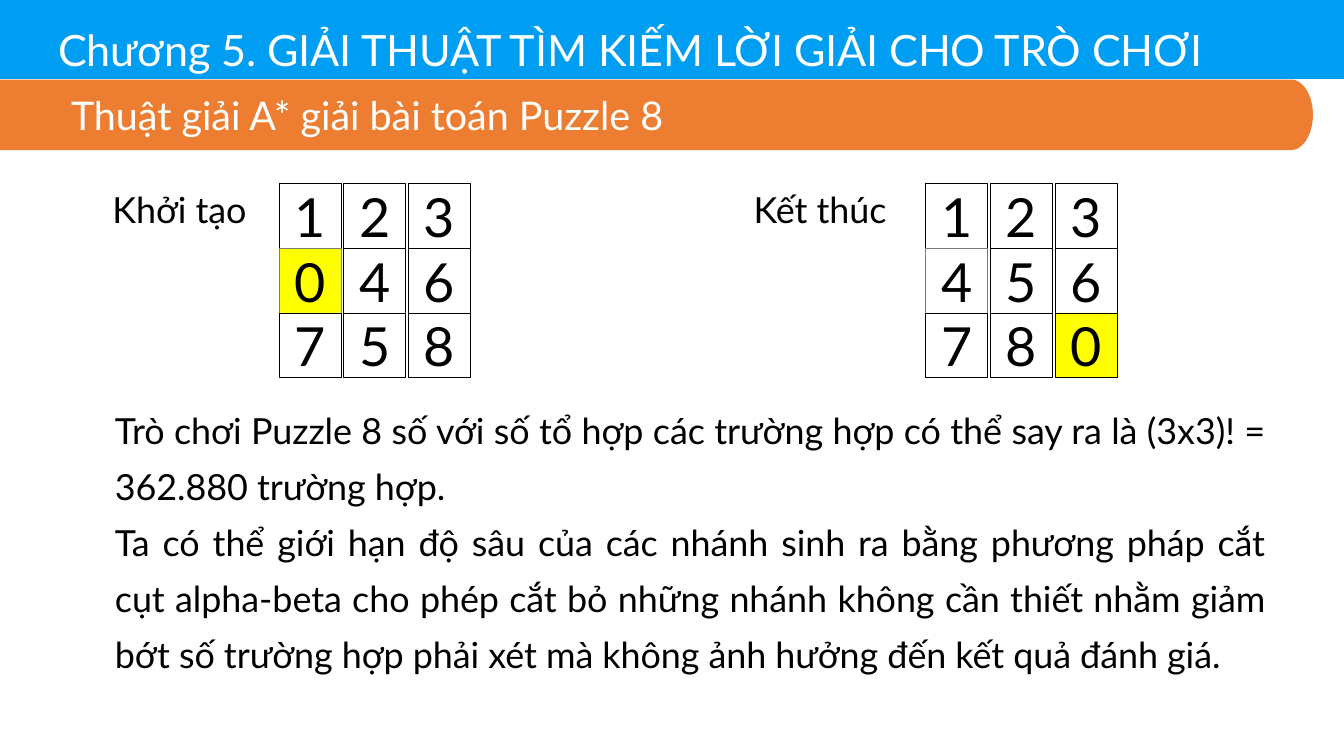
import math

import pptx
import pptx.dml.color
import pptx.enum.shapes
import pptx.enum.text
import pptx.util

WIDTH, HEIGHT = 20.79, 11.69
FONT = "Lato"
BLACK, WHITE, GREY = "000000", "FFFFFF", "7A7A7A"
BLUE, ORANGE, YELLOW = "009EF3", "ED7D31", "FFFF00"

CHAPTER = "Chương 5. GIẢI THUẬT TÌM KIẾM LỜI GIẢI CHO TRÒ CHƠI"
SECTION = "Thuật giải A* giải bài toán Puzzle 8"
# label, label left, board left, rows of tiles
BOARDS = [
    ("Khởi tạo", 1.64, 4.32, ["123", "046", "758"]),
    ("Kết thúc", 11.56, 14.32, ["123", "456", "780"]),
]
EXPLANATION = [
    "Trò chơi Puzzle 8 số với số tổ hợp các trường hợp có thể say ra là "
    "(3x3)! = 362.880 trường hợp.",
    "Ta có thể giới hạn độ sâu của các nhánh sinh ra bằng phương pháp cắt cụt "
    "alpha-beta cho phép cắt bỏ những nhánh không cần thiết nhằm giảm bớt số "
    "trường hợp phải xét mà không ảnh hưởng đến kết quả đánh giá.",
]

HEADER_HEIGHT = 1.22
BANNER_TOP, BANNER_HEIGHT = 1.23, 1.09
BANNER_RIGHT, BANNER_CURVE = 20.31, 0.34
LABEL_TOP = 2.85
BOARD_TOP, TILE_PITCH, TILE_WIDTH = 2.84, 1, 0.96

ALIGN = pptx.enum.text.PP_ALIGN
ANCHOR = pptx.enum.text.MSO_ANCHOR
RECTANGLE = pptx.enum.shapes.MSO_SHAPE.RECTANGLE


def inches(*lengths):
    return [pptx.util.Inches(length) for length in lengths]


def color(hex_code):
    return pptx.dml.color.RGBColor.from_string(hex_code)


def paint(shape, fill, line=None):
    shape.shadow.inherit = False
    shape.fill.solid()
    shape.fill.fore_color.rgb = color(fill)
    if line:
        shape.line.color.rgb = color(line)
        shape.line.width = pptx.util.Pt(1)
    else:
        shape.line.fill.background()


def write(shape, paragraphs, size, ink=BLACK, align=ALIGN.JUSTIFY,
          anchor=ANCHOR.TOP, line_spacing=None, tracking=-0.05, indent=0):
    """Fill the shape with paragraphs; tracking is letter spacing in points."""
    frame = shape.text_frame
    frame.word_wrap = True
    frame.vertical_anchor = anchor
    for index, text in enumerate(paragraphs):
        paragraph = frame.add_paragraph() if index else frame.paragraphs[0]
        paragraph.alignment = align
        paragraph.line_spacing = line_spacing
        paragraph._p.get_or_add_pPr().set("marL", str(pptx.util.Inches(indent)))
        run = paragraph.add_run()
        run.text = text
        run.font.name = FONT
        run.font.size = pptx.util.Pt(size)
        run.font.color.rgb = color(ink)
        if tracking:
            run.font._element.set("spc", str(round(tracking * 100)))
    return frame


def add_header(shapes):
    paint(shapes.add_shape(RECTANGLE, *inches(0, 0, WIDTH, HEADER_HEIGHT)), BLUE)
    title = shapes.add_textbox(*inches(0.89, 0.35, 18.75, 0.82))
    frame = write(title, [CHAPTER], 48, WHITE, ALIGN.LEFT, tracking=-0.1,
                  indent=0.01)
    frame.margin_left = frame.margin_right = frame.margin_bottom = 0
    frame.margin_top = pptx.util.Inches(0.01)
    frame.paragraphs[0].space_before = pptx.util.Pt(1)


def add_banner(shapes):
    """Band from the left edge whose right end is half an ellipse."""
    radius = BANNER_HEIGHT / 2
    arc = [math.radians(angle) for angle in range(-90, 91, 5)]
    end = [inches(BANNER_RIGHT - BANNER_CURVE * (1 - math.cos(angle)),
                  BANNER_TOP + radius * (1 + math.sin(angle))) for angle in arc]
    outline = shapes.build_freeform(*inches(0, BANNER_TOP))
    outline.add_line_segments(end + [inches(0, BANNER_TOP + BANNER_HEIGHT)])
    banner = outline.convert_to_shape()
    paint(banner, ORANGE)
    write(banner, [SECTION], 44, WHITE, anchor=ANCHOR.MIDDLE, indent=1)


def add_board(shapes, label, label_left, board_left, rows):
    board = shapes.add_group_shape().shapes
    for row, digits in enumerate(rows):
        for column, digit in enumerate(digits):
            tile = board.add_shape(RECTANGLE, *inches(
                board_left + column * TILE_PITCH,
                BOARD_TOP + row * TILE_PITCH, TILE_WIDTH, TILE_PITCH))
            paint(tile, YELLOW if digit == "0" else WHITE,
                  GREY if (row, column) == (1, 0) else BLACK)
            write(tile, [digit], 60, align=ALIGN.CENTER,
                  anchor=ANCHOR.MIDDLE, tracking=0)
    caption = shapes.add_textbox(*inches(label_left, LABEL_TOP, 2.71, 0.77))
    write(caption, [label], 40)


def main():
    deck = pptx.Presentation()
    deck.slide_width, deck.slide_height = inches(WIDTH, HEIGHT)
    shapes = deck.slides.add_slide(deck.slide_layouts[6]).shapes
    add_header(shapes)
    add_banner(shapes)
    for board in BOARDS:
        add_board(shapes, *board)
    explanation = shapes.add_textbox(*inches(1.68, 6.07, 18, 5.27))
    write(explanation, EXPLANATION, 40, line_spacing=1.3)
    deck.save("out.pptx")


if __name__ == "__main__":
    main()
